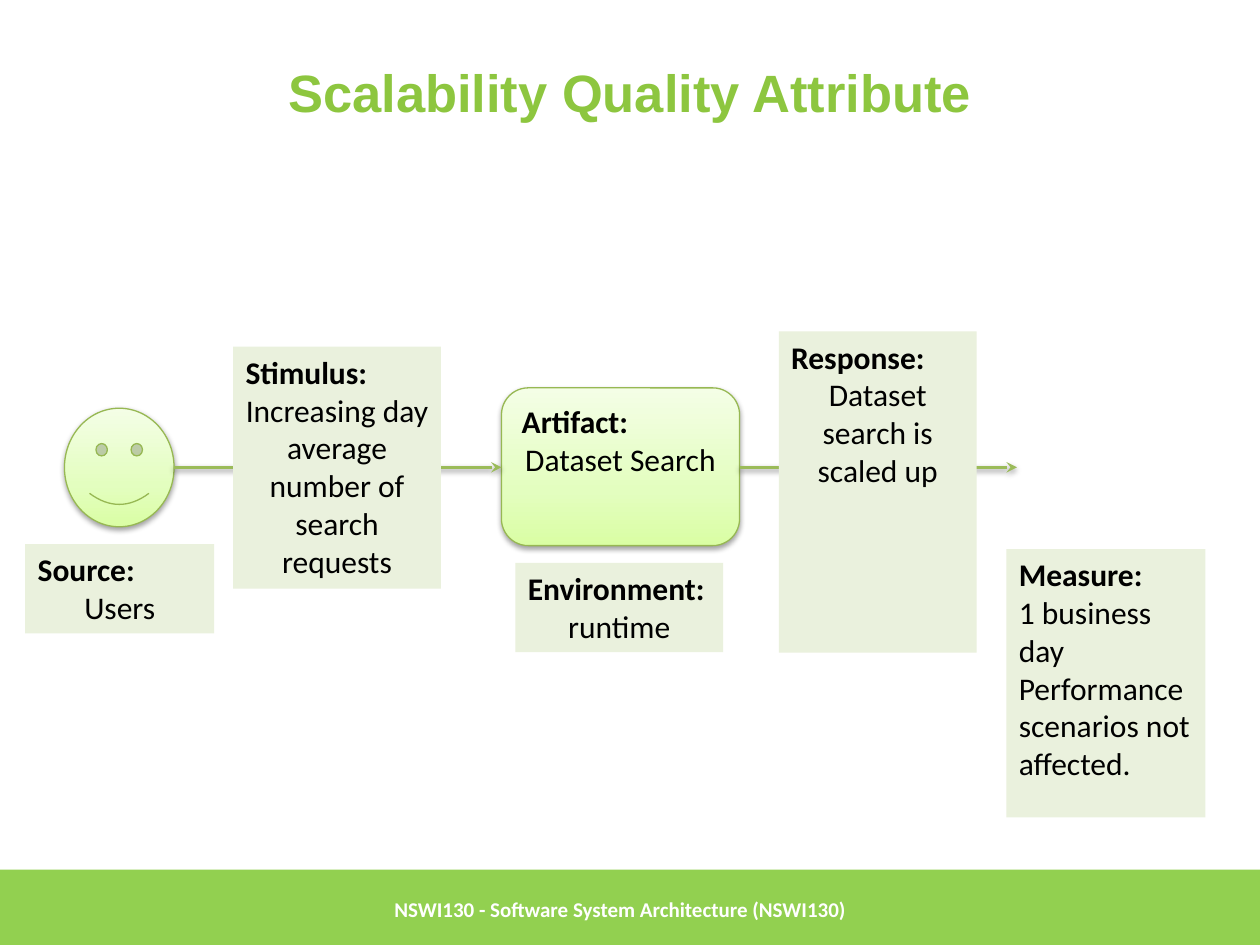
from copy import deepcopy
from lxml.etree import SubElement
from pptx import Presentation
from pptx.dml.color import RGBColor
from pptx.enum.shapes import MSO_CONNECTOR as LINK, MSO_SHAPE as KIND
from pptx.enum.text import MSO_ANCHOR as ANCHOR, PP_ALIGN as ALIGN
from pptx.oxml.ns import qn
from pptx.util import Cm, Pt

BLACK = RGBColor(0x00, 0x00, 0x00)
WHITE = RGBColor(0xFF, 0xFF, 0xFF)
GREEN = RGBColor(0x8D, 0xC6, 0x3F)
BAR = RGBColor(0x92, 0xD0, 0x50)
PALE = RGBColor(0xEA, 0xF1, 0xDD)
EDGE = RGBColor(0x97, 0xB8, 0x53)
ARROW = RGBColor(0x9B, 0xBB, 0x59)
SHADES = [(0, RGBColor(0xDA, 0xFE, 0xA4)),
          (0.35, RGBColor(0xE3, 0xFE, 0xBF)),
          (1, RGBColor(0xF4, 0xFE, 0xE6))]

TITLE = "Scalability Quality Attribute"
FOOTER = "NSWI130 - Software System Architecture (NSWI130)"
FOOT = (17.53, 1.6)
AXIS = 9.42
FACE = (1.3, 8.23, 2.21, 2.39)
CORE = (10.11, 7.82, 4.8, 3.18)
ARTIFACT = ("Artifact:", ["Dataset Search"], ALIGN.CENTER)
ARROWS = [(FACE[0] + FACE[2], CORE[0]), (CORE[0] + CORE[2], 20.5)]
NOTES = [
    ((0.51, 10.97, 3.81, 1.8), "Source:", ["Users"], ALIGN.CENTER),
    ((4.7, 6.99, 4.19, 4.88), "Stimulus:",
     ["Increasing day average number of search requests"], ALIGN.CENTER),
    ((10.39, 11.35, 4.19, 1.8), "Environment:", ["runtime"], ALIGN.CENTER),
    ((15.7, 6.68, 3.99, 6.48), "Response:",
     ["Dataset search is scaled up"], ALIGN.CENTER),
    ((20.29, 11.07, 4.01, 5.41), "Measure:",
     ["1 business day", "Performance scenarios not affected."], ALIGN.LEFT),
]

HEAD = {"name": "Arial", "size": Pt(30), "bold": True}
BOLD = {"name": "Calibri", "size": Pt(18), "bold": True}
BODY = BOLD | {"bold": False}
SMALL = BOLD | {"size": Pt(12)}


def write(para, text, form, color, align=ALIGN.LEFT):
    para.alignment = align
    run = para.add_run()
    run.text = text
    for key, value in form.items():
        setattr(run.font, key, value)
    run.font.color.rgb = color


def label(shape, head, lines, align):
    frame = shape.text_frame
    frame.word_wrap = True
    frame.vertical_anchor = ANCHOR.TOP
    write(frame.paragraphs[0], head, BOLD, BLACK)
    for line in lines:
        write(frame.add_paragraph(), line, BODY, BLACK, align)


def flat(slide, box, color):
    shape = slide.shapes.add_shape(KIND.RECTANGLE, *map(Cm, box))
    shape.shadow.inherit = False
    shape.fill.solid()
    shape.fill.fore_color.rgb = color
    shape.line.fill.background()
    return shape


def shade(shape):
    props = shape._element.spPr
    glow = SubElement(props, qn("a:effectLst"))
    drop = SubElement(glow, qn("a:outerShdw"), blurRad="40000", dist="20000",
                      dir="5400000", rotWithShape="0")
    tint = SubElement(drop, qn("a:srgbClr"), val="000000")
    SubElement(tint, qn("a:alpha"), val="37000")


def glossy(slide, kind, box, bend):
    shape = slide.shapes.add_shape(kind, *map(Cm, box))
    shape.adjustments[0] = bend
    shape.fill.gradient()
    shape.fill.gradient_angle = 90
    stops = shape._element.spPr.find(qn("a:gradFill")).find(qn("a:gsLst"))
    stops.insert(1, deepcopy(stops[0]))
    for stop, (place, color) in zip(shape.fill.gradient_stops, SHADES):
        stop.position = place
        stop.color.rgb = color
    shape.line.color.rgb = EDGE
    shape.line.width = Pt(0.75)
    shade(shape)
    return shape


def arrow(slide, start, end):
    link = slide.shapes.add_connector(LINK.STRAIGHT, Cm(start), Cm(AXIS),
                                      Cm(end), Cm(AXIS))
    link.line.color.rgb = ARROW
    link.line.width = Pt(2)
    SubElement(link.line._get_or_add_ln(), qn("a:tailEnd"), type="stealth")
    shade(link)


def main():
    deck = Presentation()
    deck.slide_width, deck.slide_height = Cm(25.4), Cm(19.05)
    slide = deck.slides.add_slide(deck.slide_layouts[5])

    title = slide.shapes.title
    title.left, title.top, title.width, title.height = map(
        Cm, (1.27, 0.76, 22.86, 2.16))
    title.text_frame.vertical_anchor = ANCHOR.MIDDLE
    write(title.text_frame.paragraphs[0], TITLE, HEAD, GREEN, ALIGN.CENTER)

    top, high = FOOT
    flat(slide, (0, top, 25.4, high), BAR)
    foot = slide.shapes.add_textbox(*map(Cm, (7.7, top, 15.29, high)))
    foot.text_frame.word_wrap = True
    foot.text_frame.vertical_anchor = ANCHOR.MIDDLE
    write(foot.text_frame.paragraphs[0], FOOTER, SMALL, WHITE)

    glossy(slide, KIND.SMILEY_FACE, FACE, 0.05)
    label(glossy(slide, KIND.ROUNDED_RECTANGLE, CORE, 0.17), *ARTIFACT)
    for ends in ARROWS:
        arrow(slide, *ends)
    for box, *words in NOTES:
        label(flat(slide, box, PALE), *words)

    deck.save("out.pptx")


if __name__ == "__main__":
    main()
